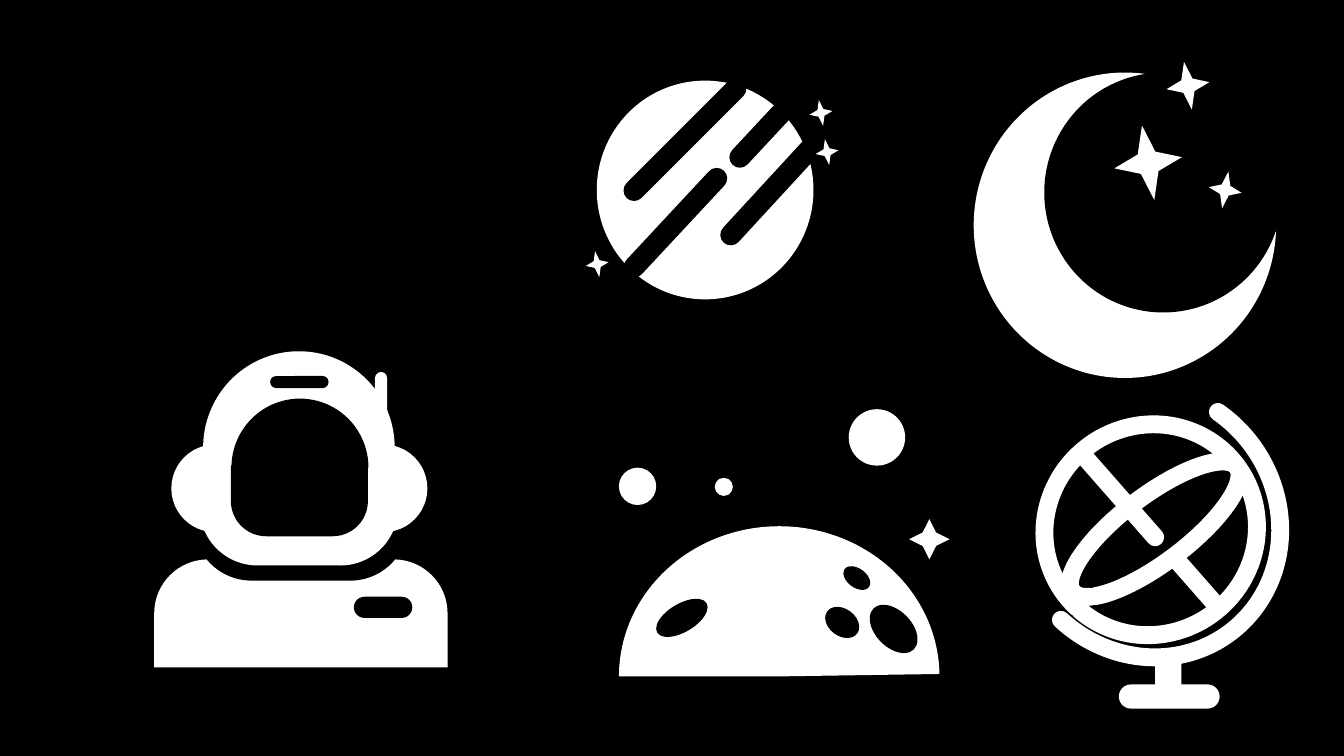
from dataclasses import dataclass

from lxml.etree import SubElement as Sub
from pptx import Presentation
from pptx.dml.color import RGBColor as Rgb
from pptx.enum.shapes import MSO_CONNECTOR as Link, MSO_SHAPE as Kind
from pptx.oxml.ns import qn
from pptx.shapes.shapetree import GroupShapes as Group
from pptx.util import Inches, Pt

CELL = Inches(0.1)
COLS, ROWS = 133.33, 75
WHITE, BLACK = "FFFFFF", "000000"
OVAL, STAR, PIE, ARC = Kind.OVAL, Kind.STAR_4_POINT, Kind.PIE, Kind.ARC
SLAB = Kind.ROUND_2_SAME_RECTANGLE
PILL, DOME, DOOR = (0.5, 0.5), (0.5, 0), (54.44, 162)
RING = (210.26, 209.14)
TILT = 142.9
LEAN = 350.6
THIN = 12.75
BAND = 15


@dataclass
class Form:
    kind: Kind
    col: float
    row: float
    wide: float
    high: float
    hue: str = WHITE
    turn: float = 0
    bend: tuple[float, ...] = ()


@dataclass
class Rod:
    col: float
    row: float
    to_col: float
    to_row: float
    hue: str
    size: float


def grid(num: float) -> int:
    return round(num * CELL)


def tint(code: str) -> Rgb:
    return Rgb.from_string(code)


def star(col: float, row: float, wide: float, high: float, turn: float = LEAN) -> Form:
    return Form(STAR, col, row, wide, high, WHITE, turn, (0.184,))


def ring(col: float, row: float, wide: float, high: float, bend: tuple[float, ...] = RING) -> Form:
    return Form(ARC, col, row, wide, high, WHITE, TILT, bend)


def stroke(item, hue: str, size: float) -> None:
    item.line.color.rgb = tint(hue)
    item.line.width = Pt(size)
    item.element.spPr.find(qn("a:ln")).set("cap", "rnd")


def draw_form(group: Group, form: Form) -> None:
    item = group.add_shape(form.kind, grid(form.col), grid(form.row), grid(form.wide), grid(form.high))
    item.shadow.inherit = False
    item.rotation = form.turn
    for i, bend in enumerate(form.bend):
        item.adjustments[i] = bend
    if form.kind == ARC:
        item.fill.background()
        stroke(item, form.hue, THIN)
    else:
        item.fill.solid()
        item.fill.fore_color.rgb = tint(form.hue)
        item.line.fill.background()


def draw_rod(group: Group, rod: Rod) -> None:
    item = group.add_connector(Link.STRAIGHT, grid(rod.col), grid(rod.row), grid(rod.to_col), grid(rod.to_row))
    stroke(item, rod.hue, rod.size)
    Sub(item.element.spPr, qn("a:effectLst"))


GLOBE = [
    Form(SLAB, 111, 67.9, 10, 2.4, bend=PILL),
    Form(SLAB, 114.6, 65, 2.6, 3.4, bend=(0, 0)),
    ring(100.9, 38.1, 25.8, 27.4, (95.87, 209.14)),
    ring(103.5, 42.2, 21.3, 20.7),
    ring(104.3, 49.2, 20.5, 6.6),
    Rod(116.5, 55.3, 120.8, 60.2, WHITE, THIN),
    Rod(107.4, 45.1, 114.6, 53.3, WHITE, THIN),
]
PLANET = [
    Form(OVAL, 59.2, 8, 21.5, 21.7),
    Rod(73, 8.8, 62.9, 18.9, BLACK, BAND),
    Rod(71.1, 17.7, 62.9, 26.5, BLACK, BAND),
    Rod(80.6, 14.5, 72.5, 23.3, BLACK, BAND),
    Rod(77.5, 11.2, 73.4, 15.6, BLACK, BAND),
    *(star(col, row, 2.3, 2.6) for col, row in ((58.1, 24.9), (80.3, 9.9), (80.9, 13.8))),
]
MOON = [
    Form(OVAL, 96.6, 7.2, 30, 30.3),
    Form(OVAL, 103.6, 7.2, 23.6, 23.8, BLACK),
    star(110.5, 12.4, 6.8, 7.5),
    star(115.7, 6.1, 4.3, 4.8),
    star(119.9, 17, 3.3, 3.7, 9.7),
]
CRATER = [
    Form(PIE, 61.4, 52.2, 31.8, 29.8, turn=180, bend=(0, 107.48)),
    *(Form(OVAL, col, row, size, size) for col, row, size in ((84.2, 40.6, 5.6), (61.4, 46.4, 3.7), (70.9, 47.4, 1.8))),
    Form(STAR, 90.2, 51.5, 4, 4, bend=(0.236,)),
    Form(OVAL, 64.8, 59.9, 5.7, 2.8, BLACK, 329.2),
    Form(OVAL, 85.8, 60.6, 5.7, 3.6, BLACK, 45.7),
    Form(OVAL, 83.5, 56.4, 3, 1.9, BLACK, 36.6),
    Form(OVAL, 81.7, 60.4, 3.7, 2.7, BLACK, 36.6),
]
PILOT = [
    Form(SLAB, 15.3, 55.5, 29.1, 10.7, bend=DOME),
    Form(SLAB, 19.2, 46.1, 21.3, 11.5, BLACK, 180, DOME),
    Form(SLAB, 19.8, 44.6, 19.7, 11.5, WHITE, 180, DOME),
    Form(SLAB, 17, 44.1, 25.4, 8.7, bend=PILL),
    Form(PIE, 20.1, 34.9, 19.1, 19, WHITE, 90, DOOR),
    Form(PIE, 22.9, 39.6, 13.7, 13.6, BLACK, 90, DOOR),
    Form(SLAB, 22.9, 46.2, 13.6, 7, BLACK, 180, DOME),
    Form(SLAB, 26.8, 37.3, 5.8, 1.2, BLACK, 180, PILL),
    Form(SLAB, 35.1, 59.2, 5.8, 2.1, BLACK, 180, PILL),
    Form(SLAB, 34.9, 39.2, 5.8, 1.2, WHITE, 90, PILL),
]


def main() -> None:
    deck = Presentation()
    deck.slide_width, deck.slide_height = grid(COLS), grid(ROWS)
    slide = deck.slides.add_slide(deck.slide_layouts[6])
    slide.background.fill.solid()
    slide.background.fill.fore_color.rgb = tint(BLACK)
    for icon in (GLOBE, PLANET, MOON, CRATER, PILOT):
        group = slide.shapes.add_group_shape().shapes
        for part in icon:
            if isinstance(part, Rod):
                draw_rod(group, part)
            else:
                draw_form(group, part)
    deck.save("out.pptx")


if __name__ == "__main__":
    main()
